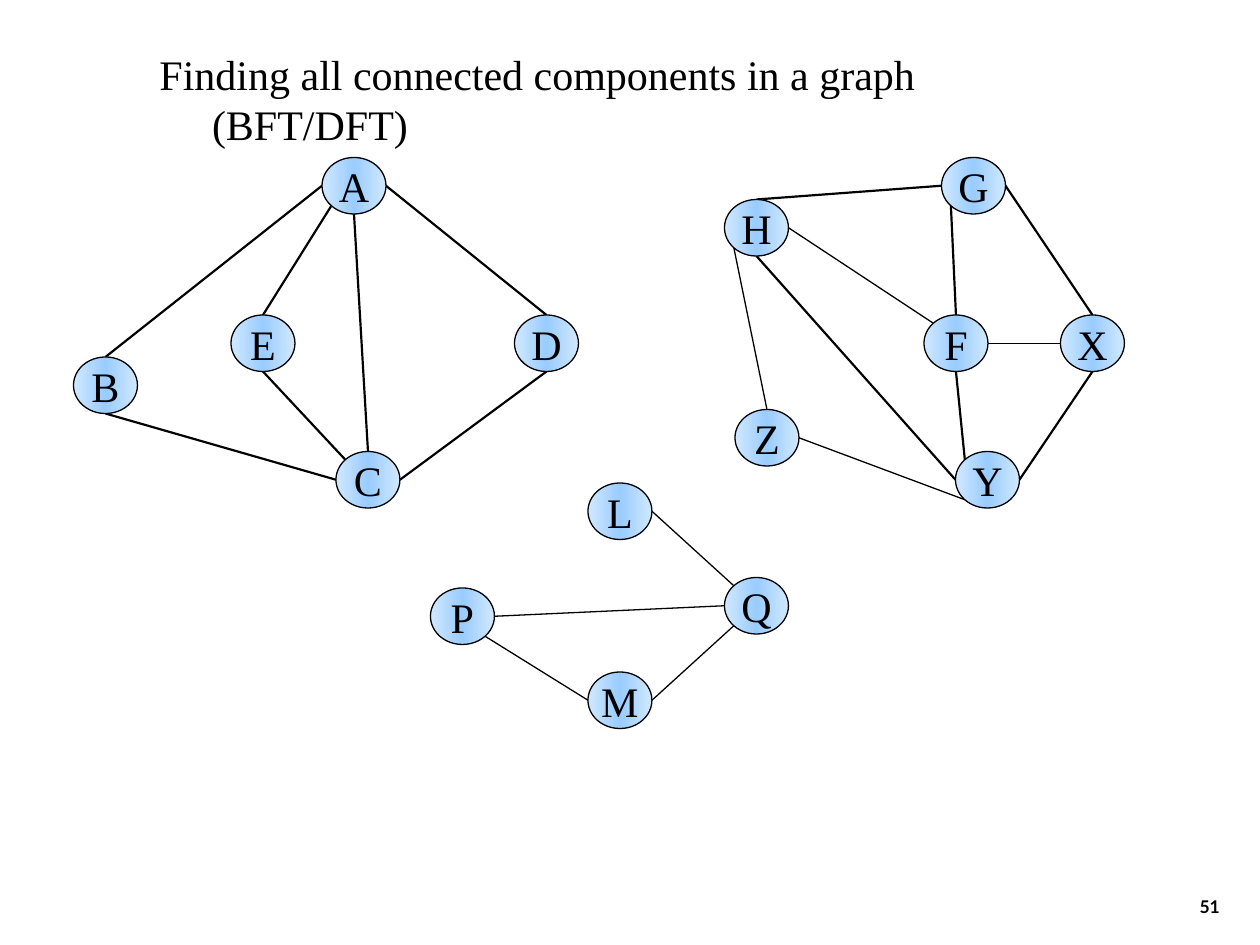
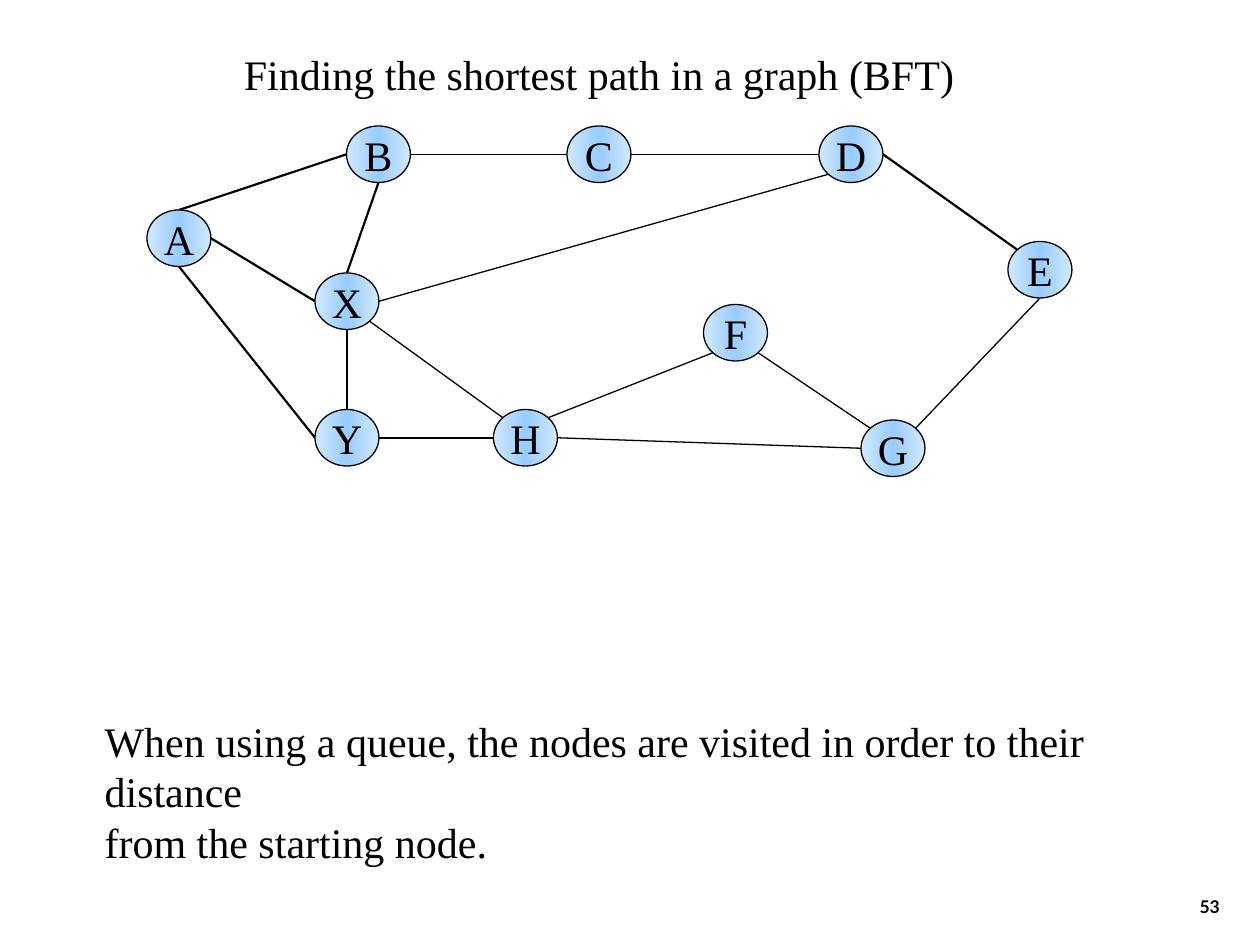
"""Build two slides on graph traversal: connected components and shortest paths."""
from copy import deepcopy
from dataclasses import dataclass
from math import sqrt

from lxml import etree
from pptx import Presentation
from pptx import util as u
from pptx.dml.color import RGBColor
from pptx.enum import shapes, text
from pptx.oxml.ns import qn


@dataclass(frozen=True)
class Theme:
    """Colours, fonts, type sizes and lengths in centimetres."""
    ink: str = "000000"
    node_fill: tuple = ("D1E8FF", "99CCFF", "D1E8FF")
    font: str = "Times New Roman"
    number_font: str = "Lato"
    size: int = 24
    number_size: int = 10
    thin: float = 0.75
    heavy: float = 1.25
    grid: float = 2.54 / 12
    node_w: float = 1.29
    node_h: float = 1.14
    margin: float = 2.54
    hanging: float = -1.06


DIAGONAL = sqrt(0.5)
SITES = {
    "n": (0, -1), "s": (0, 1), "w": (-1, 0), "e": (1, 0),
    "nw": (-DIAGONAL, -DIAGONAL), "ne": (DIAGONAL, -DIAGONAL),
    "sw": (-DIAGONAL, DIAGONAL), "se": (DIAGONAL, DIAGONAL),
}


class Deck:
    """Hold the theme, the presentation and the current slide."""

    def __init__(self, theme):
        """Start an empty 4:3 presentation."""
        self.theme = theme
        self.prs = Presentation()
        self.prs.slide_width, self.prs.slide_height = u.Cm(25.4), u.Cm(19.05)

    def slide(self, title, box, number):
        """Add a slide with its title and number."""
        self.s = self.prs.slides.add_slide(self.prs.slide_layouts[5])
        self.title(title, box)
        self.textbox([number], (19.56, 17.35, 5.28, 1.27),
                     {"vertical_anchor": text.MSO_ANCHOR.BOTTOM, "word_wrap": True},
                     text.PP_ALIGN.RIGHT,
                     {"name": self.theme.number_font, "bold": True,
                      "size": u.Pt(self.theme.number_size)})

    def fill_text(self, tf, lines, frame, align=text.PP_ALIGN.LEFT, font=None):
        """Fill a text frame with one paragraph per line."""
        for key, value in frame.items():
            setattr(tf, key, value)
        look = {"name": self.theme.font, "size": u.Pt(self.theme.size)} | (font or {})
        for i, line in enumerate(lines):
            p = tf.add_paragraph() if i else tf.paragraphs[0]
            p.alignment = align
            r = p.add_run()
            r.text = line
            r.font.color.rgb = RGBColor.from_string(self.theme.ink)
            for key, value in look.items():
                setattr(r.font, key, value)

    def title(self, line, box):
        """Place the title with a hanging indent."""
        sp = self.s.shapes.title
        for key, value in zip(("left", "top", "width", "height"), box):
            setattr(sp, key, u.Cm(value))
        self.fill_text(sp.text_frame, [line],
                       {"vertical_anchor": text.MSO_ANCHOR.TOP, "word_wrap": True,
                        "auto_size": text.MSO_AUTO_SIZE.NONE})
        pPr = sp.text_frame.paragraphs[0]._p.get_or_add_pPr()
        for key, value in {"marL": self.theme.margin, "indent": self.theme.hanging}.items():
            pPr.set(key, str(int(u.Cm(value))))

    def textbox(self, lines, box, frame, align=text.PP_ALIGN.LEFT, font=None):
        """Add a plain text box."""
        sp = self.s.shapes.add_textbox(*map(u.Cm, box))
        self.fill_text(sp.text_frame, lines, frame, align, font)

    def outline(self, line, width):
        """Draw a line or outline in ink."""
        line.color.rgb = RGBColor.from_string(self.theme.ink)
        line.width = u.Pt(width)

    def node(self, label, col, row):
        """Add a labelled ellipse at a grid position."""
        t = self.theme
        box = (col * t.grid, row * t.grid, t.node_w, t.node_h)
        sp = self.s.shapes.add_shape(shapes.MSO_SHAPE.OVAL, *map(u.Cm, box))
        sp.shadow.inherit = False
        sp.fill.gradient()
        sp.fill.gradient_angle = 0
        stops = sp._element.spPr.find(".//" + qn("a:gsLst"))
        stops.insert(1, deepcopy(stops[0]))
        for i, (stop, colour) in enumerate(zip(sp.fill.gradient_stops, t.node_fill)):
            stop.position = i / 2
            stop.color.rgb = RGBColor.from_string(colour)
        self.outline(sp.line, t.thin)
        self.fill_text(sp.text_frame, [label],
                       {"vertical_anchor": text.MSO_ANCHOR.MIDDLE, "word_wrap": False},
                       text.PP_ALIGN.CENTER)

    def site(self, nodes, end):
        """Return the point on a node's rim for an end such as A.sw."""
        t = self.theme
        label, side = end.split(".")
        (col, row), (dx, dy) = nodes[label], SITES[side]
        return (u.Cm(col * t.grid + t.node_w * (1 + dx) / 2),
                u.Cm(row * t.grid + t.node_h * (1 + dy) / 2))

    def edge(self, nodes, pair, width):
        """Join two nodes with a straight line."""
        start, end = pair.split("-")
        c = self.s.shapes.add_connector(shapes.MSO_CONNECTOR.STRAIGHT,
                                        *self.site(nodes, start), *self.site(nodes, end))
        self.outline(c.line, width)
        etree.SubElement(c._element.spPr, qn("a:effectLst"))

    def graph(self, nodes, heavy, thin):
        """Draw all edges and nodes of a graph."""
        for pairs, width in ((heavy, self.theme.heavy), (thin, self.theme.thin)):
            for pair in pairs.split():
                self.edge(nodes, pair, width)
        for label, place in nodes.items():
            self.node(label, *place)


def main():
    """Build both slides and save the file."""
    deck = Deck(Theme())

    deck.slide("Finding all connected components in a graph (BFT/DFT)",
               (1.48, 0.85, 21.1, 2.29), "51")
    deck.graph(
        {"A": (30.67, 15), "B": (7, 34), "C": (32, 43), "D": (49, 30), "E": (22, 30),
         "G": (89.67, 15), "H": (69, 19), "F": (88, 30), "X": (101, 30),
         "Y": (91, 43), "Z": (70, 39),
         "L": (56, 46), "Q": (69, 55), "P": (41, 56), "M": (56, 64)},
        heavy="A.w-B.n A.sw-E.n A.e-D.n A.s-C.n C.w-B.s E.s-C.nw D.s-C.e "
              "G.w-H.n G.sw-F.n G.e-X.n Y.w-H.s F.s-Y.nw X.s-Y.e",
        thin="H.e-F.nw F.e-X.w H.sw-Z.n Z.e-Y.sw "
             "P.se-M.w M.e-Q.sw P.e-Q.w L.e-Q.nw")

    deck.slide("Finding the shortest path in a graph (BFT)",
               (3.18, 0.85, 20.11, 1.27), "53")
    deck.graph(
        {"A": (14, 20), "B": (33, 12), "C": (54, 12), "D": (78, 12), "E": (96, 23),
         "F": (67, 29), "G": (82, 40), "H": (47, 39), "X": (30, 26), "Y": (30, 39)},
        heavy="B.w-A.n A.e-X.w Y.w-A.s B.s-X.n X.s-Y.n H.w-Y.e D.e-E.nw",
        thin="B.e-C.w C.e-D.w X.e-D.sw X.se-H.nw H.ne-F.sw F.se-G.nw "
             "H.e-G.w G.ne-E.s")
    deck.textbox(["When using a queue, the nodes are visited in order to their distance",
                  "from the starting node."],
                 (1.86, 14.3, 23.23, 2.29), {"word_wrap": False})

    deck.prs.save("out.pptx")


if __name__ == "__main__":
    main()
